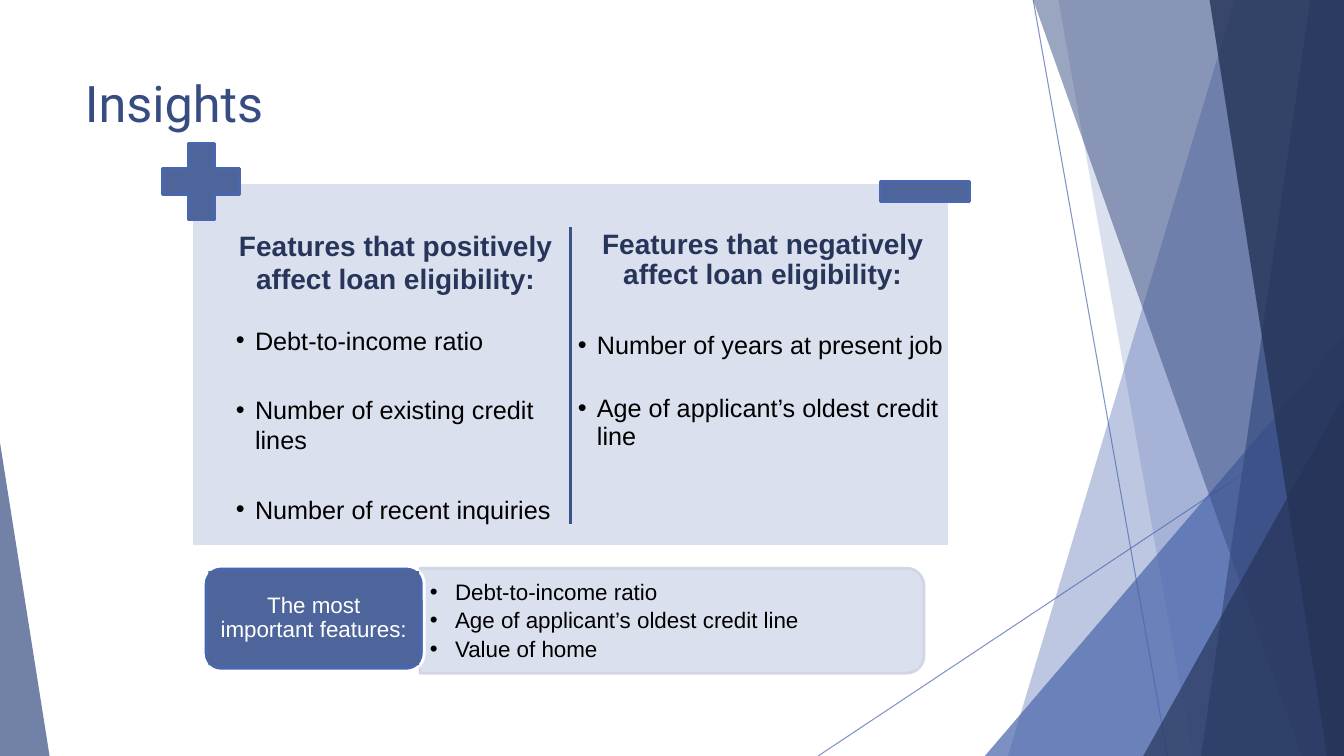
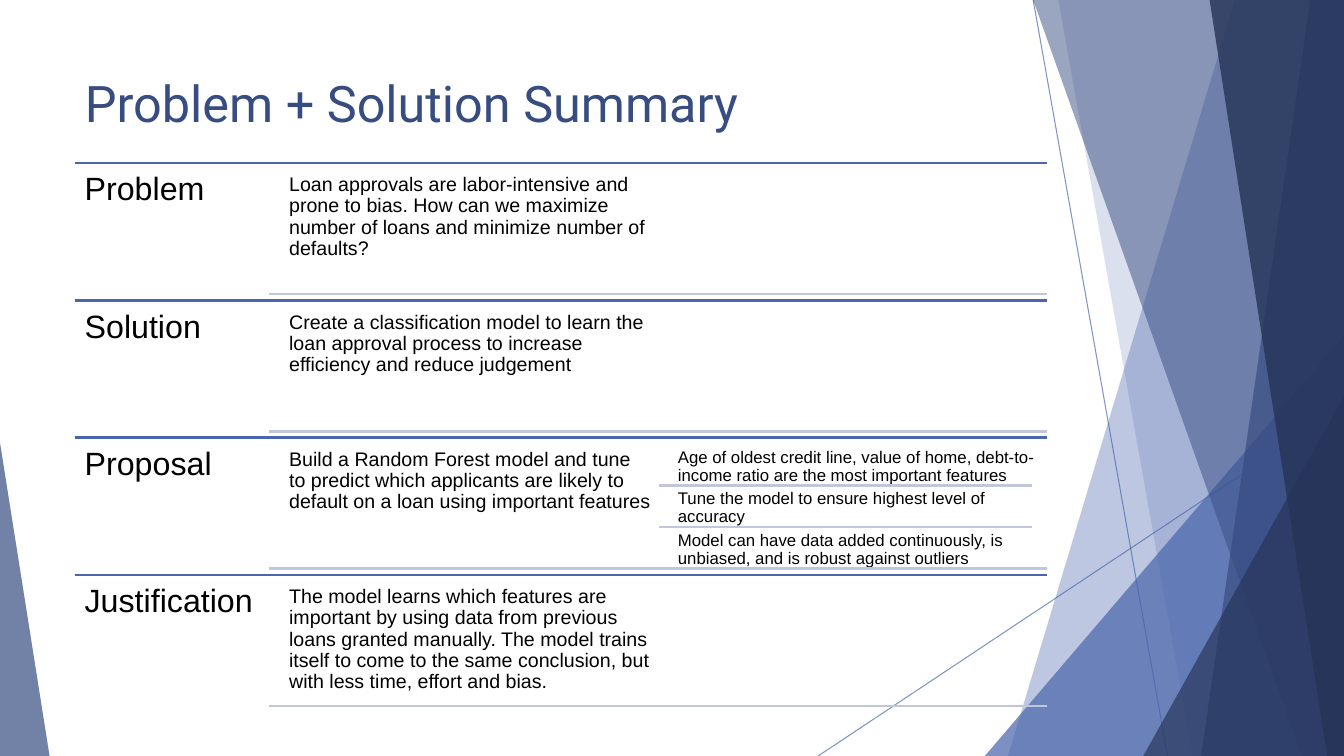
from dataclasses import dataclass

from lxml.etree import SubElement
from pptx import Presentation
from pptx.dml.color import RGBColor
from pptx.enum.shapes import MSO_CONNECTOR, MSO_SHAPE
from pptx.enum.text import MSO_ANCHOR, PP_ALIGN
from pptx.oxml.ns import qn
from pptx.util import Inches, Pt

COLS, ROWS = 160, 90
UNIT = Inches(7.5) / ROWS

BLUE, DEEP, NAVY = "4A66AC", "374C81", "253356"
STEEL, PALE, RULE, EDGE = "4E659C", "DBE0EE", "C1C6DB", "D0D3E3"
DIVIDER, HEAD, BLACK, WHITE = "3B528A", "263559", "000000", "FFFFFF"

TITLE = {"size": Pt(36), "name": "Roboto", "color": DEEP}
HEADING = {"size": Pt(20), "color": HEAD, "bold": True}
ITEM = {"size": Pt(18), "color": BLACK}
KEY_ITEM = {"size": Pt(16), "color": BLACK}
KEY_LABEL = {"size": Pt(16), "color": WHITE}
ROW_LABEL = {"size": Pt(23), "color": BLACK}
ROW_TEXT = {"size": Pt(14), "color": BLACK}
NOTE = {"size": Pt(12), "color": BLACK}
CENTER = {"alignment": PP_ALIGN.CENTER}
TIGHT = {"line_spacing": 0.9}


@dataclass
class Box:
    x: float
    y: float
    w: float
    h: float

    def inner(self, x, y, w, h):
        return Box(self.x + x, self.y + y, w, h)

    def emu(self):
        return [round(v * UNIT) for v in (self.x, self.y, self.w, self.h)]


def set_color(color, value, alpha=100):
    color.rgb = RGBColor.from_string(value)
    if alpha < 100:
        tag = color._xFill.find(qn("a:srgbClr"))
        SubElement(tag, qn("a:alpha")).set("val", str(alpha * 1000))


def paint(sp, fill, line=None, alpha=100, line_alpha=100):
    sp.shadow.inherit = False
    sp.fill.solid()
    set_color(sp.fill.fore_color, fill, alpha)
    if line:
        sp.line.fill.solid()
        set_color(sp.line.fill.fore_color, line, line_alpha)
        sp.line.width = Pt(2)
    else:
        sp.line.fill.background()
    return sp


def add_shape(s, kind, box, fill, line=None, adj=None, **alphas):
    sp = s.shapes.add_shape(kind, *box.emu())
    if adj is not None:
        sp.adjustments[0] = adj
    return paint(sp, fill, line, **alphas)


def add_line(s, x1, y1, x2, y2, color, width=2, alpha=100):
    ends = [round(v * UNIT) for v in (x1, y1, x2, y2)]
    ln = s.shapes.add_connector(MSO_CONNECTOR.STRAIGHT, *ends)
    ln.line.fill.solid()
    set_color(ln.line.fill.fore_color, color, alpha)
    ln.line.width = Pt(width)
    SubElement(ln._element.spPr, qn("a:effectLst"))
    return ln


def add_band(s, top, bottom, color, alpha):
    fb = s.shapes.build_freeform(top, 0, scale=UNIT)
    fb.add_line_segments([(COLS, 0), (COLS, ROWS), (bottom, ROWS)])
    return paint(fb.convert_to_shape(), color, alpha=alpha)


def add_bullet(p, indent):
    pPr = p._p.get_or_add_pPr()
    pPr.set("marL", str(Inches(indent)))
    pPr.set("indent", str(-Inches(indent)))
    SubElement(pPr, qn("a:buFont")).set("typeface", "Arial")
    SubElement(pPr, qn("a:buChar")).set("char", "•")


def add_text(p, text, font, para=None, bullet=None):
    for key, value in {"alignment": PP_ALIGN.LEFT, **(para or {})}.items():
        setattr(p, key, value)
    if bullet:
        add_bullet(p, bullet)
    r = p.add_run()
    r.text = text
    for key, value in {"name": "Arial", **font}.items():
        if key == "color":
            set_color(r.font.color, value)
        else:
            setattr(r.font, key, value)


def fill_text(sp, paras, inset=(0.1, 0.05), anchor=MSO_ANCHOR.TOP):
    tf = sp.text_frame
    frame = {"word_wrap": True, "vertical_anchor": anchor}
    frame.update(margin_left=Inches(inset[0]), margin_right=Inches(inset[0]),
                 margin_top=Inches(inset[1]), margin_bottom=Inches(inset[1]))
    for key, value in frame.items():
        setattr(tf, key, value)
    for i, para in enumerate(paras):
        add_text(tf.add_paragraph() if i else tf.paragraphs[0], *para)


def add_box_text(s, box, paras, inset):
    fill_text(s.shapes.add_textbox(*box.emu()), paras, (inset, inset))


def draw_backdrop(s, layout):
    def wedge(x, y, w, adj, color, alpha):
        return add_shape(s, MSO_SHAPE.ISOSCELES_TRIANGLE, Box(x, y, w, ROWS - y),
                         color, adj=adj, alpha=alpha)

    pieces = [
        add_line(s, 123, 0, 139, ROWS, BLUE, 0.75, 70),
        add_line(s, COLS, 48.4, 97.4, ROWS, BLUE, 0.75, 70),
        add_band(s, 147.36, 120.48, BLUE, 36),
        add_band(s, 126, 141.96, BLUE, 20),
        wedge(117.24, 40, 42.76, 1, BLUE, 72),
        add_band(s, 122.52, 154.92, DEEP, 50),
        add_band(s, 156.36, 143.04, DEEP, 70),
        add_band(s, 143.52, 158.16, NAVY, 80),
        wedge(136.1, 47.2, 23.9, 1, NAVY, 66),
        wedge(0, 52.7, 5.9, 0, DEEP, 70),
    ]
    for sp in pieces:
        layout.shapes.element.append(sp._element)


def add_title(s, text):
    sp = s.shapes.title
    box = Box(8.9, 8, 112.8, 17.3).emu()
    for key, value in zip(("left", "top", "width", "height"), box):
        setattr(sp, key, value)
    fill_text(sp, [(text, TITLE)])


def draw_features(s, box, positive, negative):
    add_shape(s, MSO_SHAPE.RECTANGLE, box, PALE, WHITE)
    columns = [
        (4.8, 5, 39, positive, {}, 21, 28),
        (45.5, 5.2, 45, negative, TIGHT, 30, 26),
    ]
    for x, y, w, (head, items), lead, head_gap, gap in columns:
        paras = [(head, HEADING, {**CENTER, **lead, "space_after": Pt(head_gap)})]
        paras += [(t, ITEM, {**lead, "space_after": Pt(gap)}, 0.19) for t in items]
        add_box_text(s, box.inner(x, y, w, 37.1), paras, 0.04)
    add_shape(s, MSO_SHAPE.CROSS, box.inner(-3.4, -4.6, 9.1, 9.1), STEEL, BLUE, 0.33)
    add_shape(s, MSO_SHAPE.RECTANGLE, box.inner(82, -0.1, 10.6, 2.4), STEEL, BLUE)
    mid = box.x + box.w / 2
    add_line(s, mid, box.y + 5.3, mid, box.y + 40.7, DIVIDER)


def draw_key_strip(s, box, label, items):
    w, h = 60, 12.5
    card = box.inner(25.8 + (w - h) / 2, 0.25 + (h - w) / 2, h, w)
    sp = add_shape(s, MSO_SHAPE.ROUND_2_SAME_RECTANGLE, card, PALE, EDGE, line_alpha=90)
    sp.rotation = 90
    sp = add_shape(s, MSO_SHAPE.RECTANGLE, box.inner(25.8, 1, 59.4, 11.2), PALE)
    para = {**TIGHT, "space_after": Pt(3)}
    fill_text(sp, [(t, KEY_ITEM, para, 0.25) for t in items], anchor=MSO_ANCHOR.MIDDLE)
    add_shape(s, MSO_SHAPE.ROUNDED_RECTANGLE, box.inner(0, 0, 26.3, h), BLUE, WHITE)
    sp = add_shape(s, MSO_SHAPE.RECTANGLE, box.inner(0.6, 0.6, 25.1, 11.2), STEEL)
    fill_text(sp, [(label, KEY_LABEL, {**CENTER, **TIGHT})], anchor=MSO_ANCHOR.MIDDLE)


def draw_summary_row(s, box, label, text, notes):
    right, indent, col, pad, h = box.x + box.w, 23.1, 44.5, 0.7, 14.9
    add_line(s, box.x, box.y, right, box.y, BLUE)
    add_box_text(s, box.inner(0, 0, indent, box.h), [(label, ROW_LABEL, TIGHT)], 0.1)
    add_box_text(s, box.inner(24.8, pad, col, h), [(text, ROW_TEXT, TIGHT)], 0.06)
    step = h / 3
    for i, note in enumerate(notes):
        cell = box.inner(71.2, pad + i * step, col, step)
        add_box_text(s, cell, [(note, NOTE, TIGHT)], 0.05)
        if i < len(notes) - 1:
            y = cell.y + step
            add_line(s, cell.x - 1.7, y, cell.x - 1.7 + col, y, RULE)
    y = box.y + pad + h
    add_line(s, box.x + indent, y, right, y, RULE)


def draw_summary(s, box, rows):
    h = box.h / len(rows)
    for i, row in enumerate(rows):
        draw_summary_row(s, box.inner(0, i * h, box.w, h), *row)


def build_insights(s):
    add_title(s, "Insights")
    draw_features(
        s, Box(22.8, 21.7, 90.2, 43.3),
        ("Features that positively affect loan eligibility:",
         ["Debt-to-income ratio", "Number of existing credit lines",
          "Number of recent inquiries"]),
        ("Features that negatively affect loan eligibility:",
         ["Number of years at present job", "Age of applicant’s oldest credit line"]))
    draw_key_strip(
        s, Box(24.2, 67.4, 85.8, 12.75), "The most important features:",
        ["Debt-to-income ratio", "Age of applicant’s oldest credit line",
         "Value of home"])


def build_summary(s):
    add_title(s, "Problem + Solution Summary")
    draw_summary(s, Box(8.9, 19.4, 115.7, 65.4), [
        ("Problem", "Loan approvals are labor-intensive and prone to bias. How can we "
         "maximize number of loans and minimize number of defaults?", []),
        ("Solution", "Create a classification model to learn the loan approval process "
         "to increase efficiency and reduce judgement", []),
        ("Proposal", "Build a Random Forest model and tune to predict which applicants "
         "are likely to default on a loan using important features",
         ["Age of oldest credit line, value of home, debt-to-income ratio are the "
          "most important features",
          "Tune the model to ensure highest level of accuracy",
          "Model can have data added continuously, is unbiased, and is robust "
          "against outliers"]),
        ("Justification", "The model learns which features are important by using data "
         "from previous loans granted manually. The model trains itself to come to the "
         "same conclusion, but with less time, effort and bias.", []),
    ])


prs = Presentation()
prs.slide_width, prs.slide_height = round(COLS * UNIT), round(ROWS * UNIT)
title_only = prs.slide_layouts[5]
slides = [prs.slides.add_slide(title_only) for _ in range(2)]
draw_backdrop(slides[0], title_only)
build_insights(slides[0])
build_summary(slides[1])
prs.save("out.pptx")
